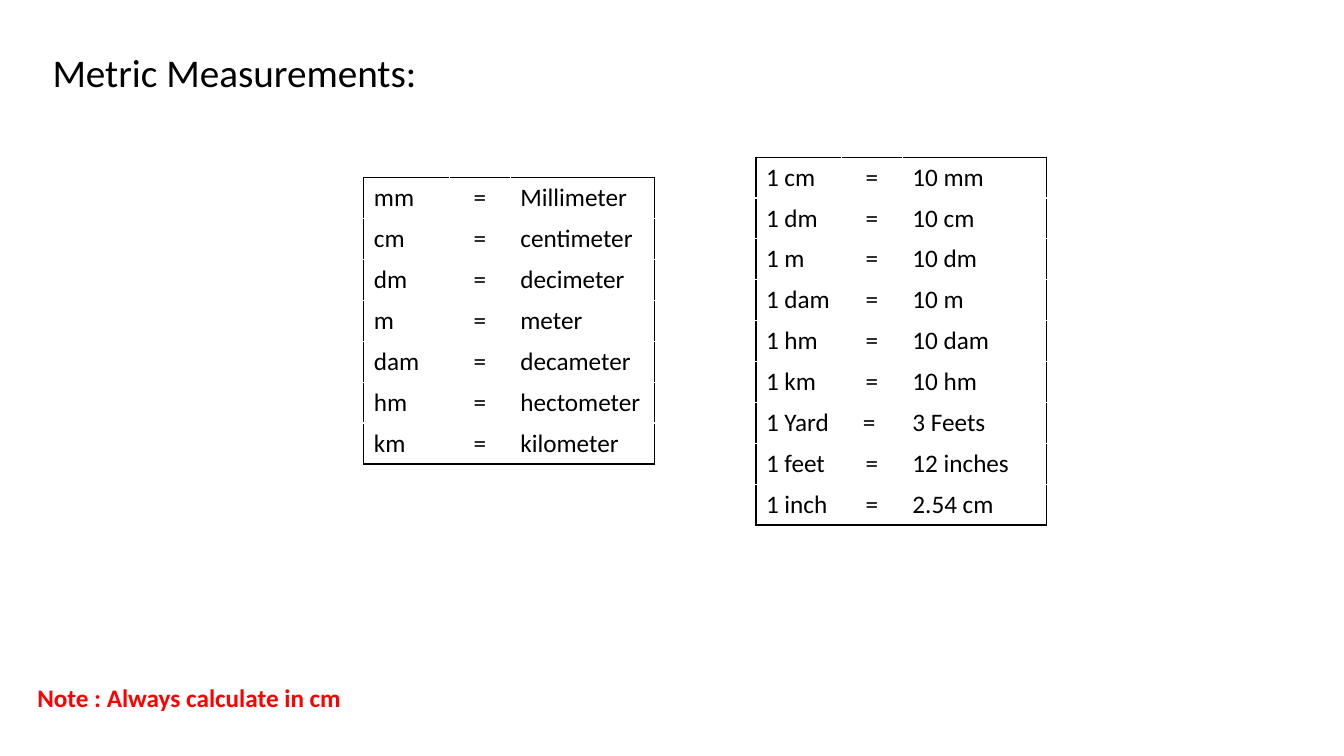
from lxml.etree import SubElement
from pptx import Presentation
from pptx.dml.color import RGBColor
from pptx.enum.text import MSO_ANCHOR, MSO_AUTO_SIZE, PP_ALIGN
from pptx.oxml.ns import qn
from pptx.util import Cm, Pt


def style(para, color="000000", **form):
    form = {"name": "Calibri", "size": Pt(18), "bold": False} | form
    for key, val in form.items():
        setattr(para.font, key, val)
    para.font.color.rgb = RGBColor.from_string(color)


def edge(cell, side):
    line = SubElement(cell._tc.get_or_add_tcPr(), qn(f"a:ln{side}"), w=str(Pt(1)))
    fill = SubElement(line, qn("a:solidFill"))
    SubElement(fill, qn("a:srgbClr"), val="000000")


deck = Presentation()
deck.slide_width, deck.slide_height = Cm(33.87), Cm(19.05)
slide = deck.slides.add_slide(deck.slide_layouts[5])

title = slide.shapes.title
title.left, title.top, title.width, title.height = Cm(1.07), Cm(1.09), Cm(12.95), Cm(1.45)
title.text_frame.text = "Metric Measurements:"
title.text_frame.auto_size = MSO_AUTO_SIZE.NONE
title.text_frame.vertical_anchor = MSO_ANCHOR.TOP
head = title.text_frame.paragraphs[0]
head.alignment = PP_ALIGN.LEFT
style(head, size=Pt(28))

units = [
    ("mm", "=", "Millimeter"),
    ("cm", "=", "centimeter"),
    ("dm", "=", "decimeter"),
    ("m", "=", "meter"),
    ("dam", "=", "decameter"),
    ("hm", "=", "hectometer"),
    ("km", "=", "kilometer"),
]
sizes = [
    ("1 cm", "=", "10 mm"),
    ("1 dm", "=", "10 cm"),
    ("1 m", "=", "10 dm"),
    ("1 dam", "=", "10 m"),
    ("1 hm", "=", "10 dam"),
    ("1 km", "=", "10 hm"),
    ("1 Yard", "= ", "3 Feets"),
    ("1 feet", "=", "12 inches"),
    ("1 inch", "=", "2.54 cm"),
]
widths = [2.16, 1.53, 3.63]
high = 1.03

for left, top, rows in [(19.05, 3.96, sizes), (9.17, 4.48, units)]:
    count = len(rows)
    frame = slide.shapes.add_table(
        count, 3, Cm(left), Cm(top), Cm(sum(widths)), Cm(high * count)
    )
    table = frame.table
    table.first_row = table.horz_banding = False
    for col, width in zip(table.columns, widths):
        col.width = Cm(width)
    for i, row in enumerate(rows):
        table.rows[i].height = Cm(high)
        for j, text in enumerate(row):
            cell = table.cell(i, j)
            cell.text = text
            para = cell.text_frame.paragraphs[0]
            para.alignment = PP_ALIGN.CENTER if j == 1 else PP_ALIGN.LEFT
            style(para)
            outer = {"L": j == 0, "R": j == 2, "T": i == 0, "B": i == count - 1}
            for side, shown in outer.items():
                if shown:
                    edge(cell, side)
            cell.fill.background()

note = slide.shapes.add_textbox(Cm(0.69), Cm(17.07), Cm(8.26), Cm(1.02))
note.text_frame.word_wrap = True
note.text_frame.text = "Note : Always calculate in cm"
style(note.text_frame.paragraphs[0], "FF0000", bold=True)

deck.save("out.pptx")
